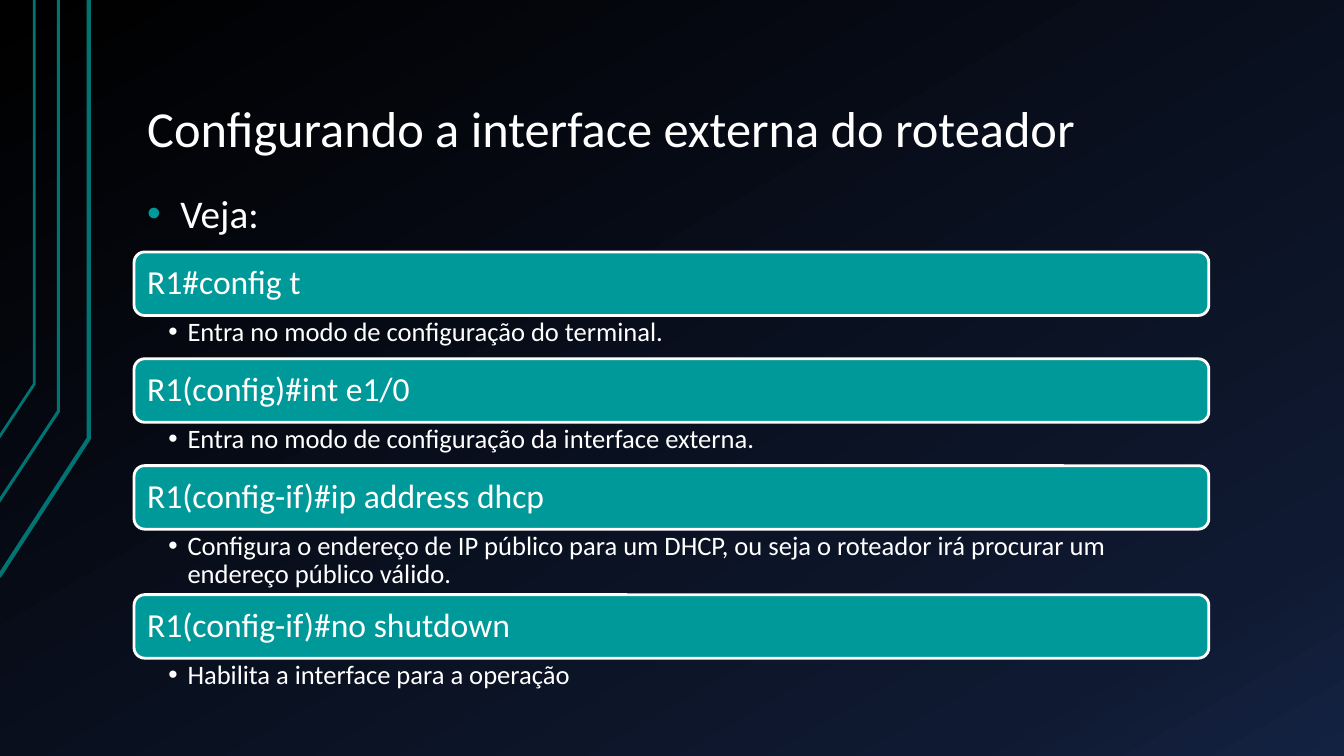
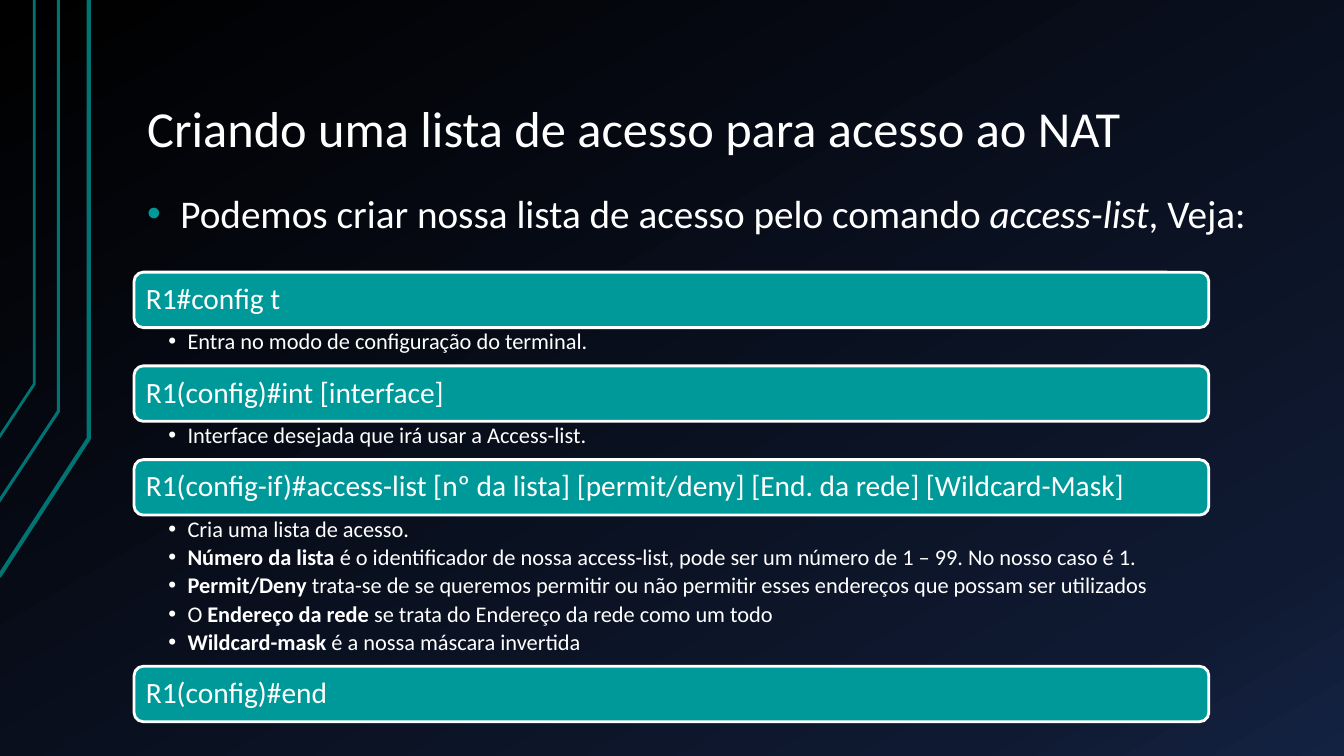
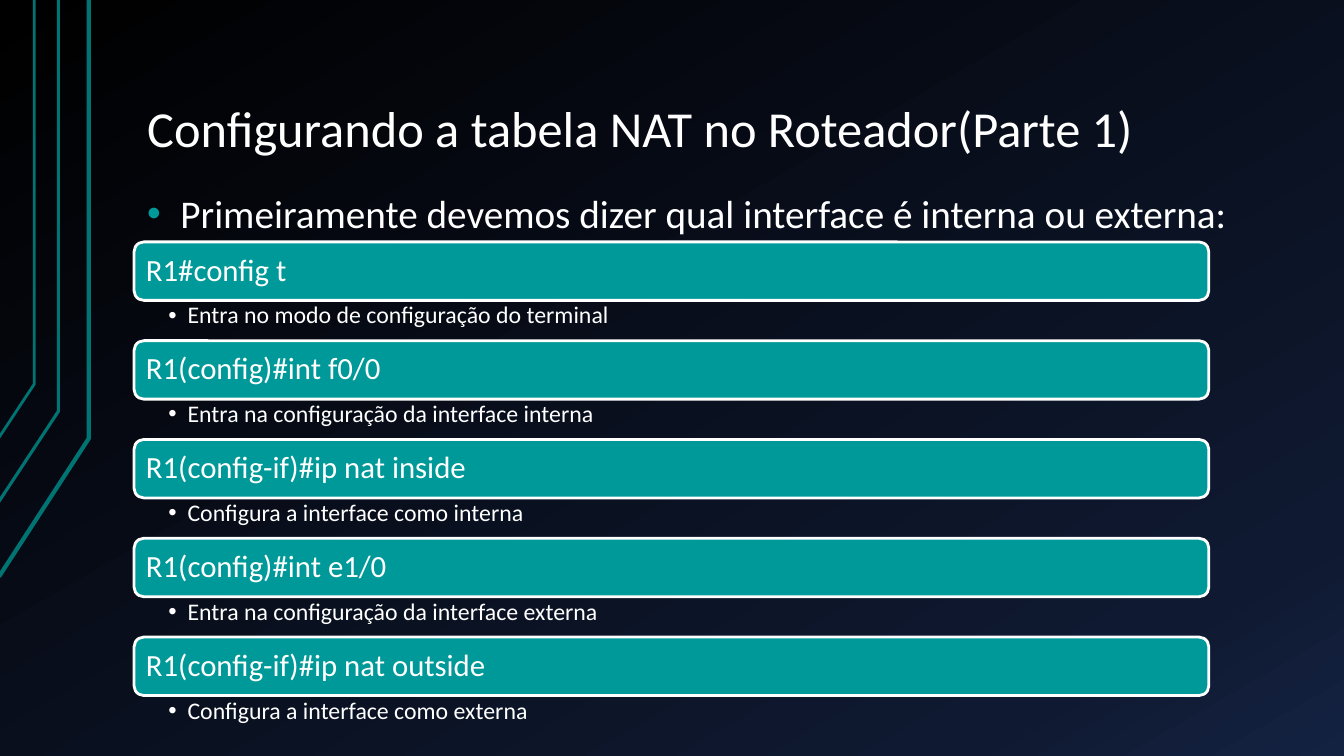
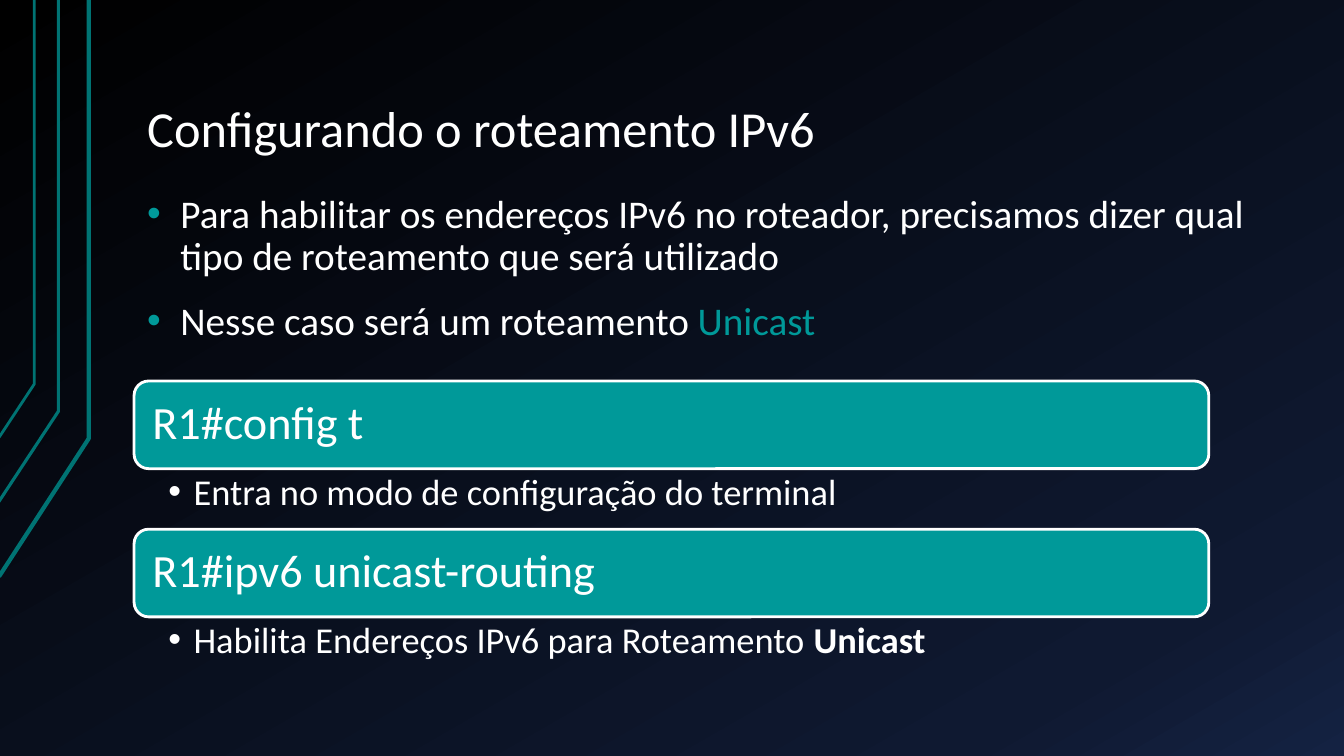
from copy import deepcopy
from dataclasses import dataclass, field

from lxml import etree
from pptx import Presentation
from pptx.dml.color import RGBColor
from pptx.enum import shapes, text
from pptx.oxml.ns import qn
from pptx.util import Inches, Pt

COLORS = {
    "text": "FFFFFF",
    "accent": "009999",
    "rail": "007373",
    "bg_start": "000000",
    "bg_mid": "0F1931",
    "bg_end": "142242",
}
FONT = "Calibri"
LEFT, TEXT_W, STEP_W = 1.33, 11.33, 10.66
BODY_INSETS = (0.13, 0.07, 0.13, 0.07)


@dataclass(frozen=True)
class Run:
    text: str
    bold: bool = False
    italic: bool = False
    color: str = "text"


Line = list[Run]


@dataclass(frozen=True)
class Rail:
    points: list[tuple[float, float]]
    width: float


@dataclass(frozen=True)
class StepStyle:
    top: float
    head_size: int
    head_h: float
    head_inset: float
    note_size: int
    note_h: float
    note_indent: float = 0.19
    note_insets: tuple[float, ...] = (0.34, 0.03, 0.19, 0.03)


@dataclass(frozen=True)
class Step:
    command: str
    notes: list[Line] = field(default_factory=list)
    note_h: float | None = None  # overrides the style's height


@dataclass(frozen=True)
class Page:
    title: str
    intro: list[Line]
    style: StepStyle
    steps: list[Step]


def line(content: str) -> Line:
    return [Run(content)]


RAILS = [
    Rail([(-0.01, 5.72), (0.88, 4.35), (0.88, 0)], 3),
    Rail([(-0.02, 4.99), (0.58, 4.08), (0.58, 0)], 2.25),
    Rail([(-0.01, 4.34), (0.34, 3.81), (0.34, 0)], 2),
]

PAGES = [
    Page(
        "Configurando a interface externa do roteador",
        [line("Veja:")],
        StepStyle(2.5, 24, 0.63, 0.1, 19, 0.43),
        [
            Step("R1#config t", [line("Entra no modo de configuração do terminal.")]),
            Step("R1(config)#int e1/0",
                 [line("Entra no modo de configuração da interface externa.")]),
            Step("R1(config-if)#ip address dhcp",
                 [line("Configura o endereço de IP público para um DHCP, ou seja o "
                       "roteador irá procurar um endereço público válido.")], 0.65),
            Step("R1(config-if)#no shutdown",
                 [line("Habilita a interface para a operação")]),
        ],
    ),
    Page(
        "Criando uma lista de acesso para acesso ao NAT",
        [[Run("Podemos criar nossa lista de acesso pelo comando "),
          Run("access-list", italic=True), Run(", Veja:")]],
        StepStyle(2.7, 21, 0.55, 0.09, 16, 0.38),
        [
            Step("R1#config t", [line("Entra no modo de configuração do terminal.")]),
            Step("R1(config)#int [interface]",
                 [line("Interface desejada que irá usar a Access-list.")]),
            Step("R1(config-if)#access-list [nº da lista] [permit/deny] "
                 "[End. da rede] [Wildcard-Mask]",
                 [
                     line("Cria uma lista de acesso."),
                     [Run("Número da lista ", bold=True),
                      Run("é o identificador de nossa access-list, pode ser um "
                          "número de 1 – 99. No nosso caso é 1.")],
                     [Run("Permit/Deny ", bold=True),
                      Run("trata-se de se queremos permitir ou não permitir esses "
                          "endereços que possam ser utilizados")],
                     [Run("O "), Run("Endereço da rede", bold=True),
                      Run(" se trata do Endereço da rede como um todo")],
                     [Run("Wildcard-mask ", bold=True),
                      Run("é a nossa máscara invertida")],
                 ], 1.5),
            Step("R1(config)#end"),
        ],
    ),
    Page(
        "Configurando a tabela NAT no Roteador(Parte 1)",
        [line("Primeiramente devemos dizer qual interface é interna ou externa:")],
        StepStyle(2.4, 22, 0.58, 0.09, 17, 0.4),
        [
            Step("R1#config t", [line("Entra no modo de configuração do terminal")]),
            Step("R1(config)#int f0/0",
                 [line("Entra na configuração da interface interna")]),
            Step("R1(config-if)#ip nat inside",
                 [line("Configura a interface como interna")]),
            Step("R1(config)#int e1/0",
                 [line("Entra na configuração da interface externa")]),
            Step("R1(config-if)#ip nat outside",
                 [line("Configura a interface como externa")]),
        ],
    ),
    Page(
        "Configurando o roteamento IPv6",
        [
            line("Para habilitar os endereços IPv6 no roteador, precisamos dizer "
                 "qual tipo de roteamento que será utilizado"),
            [Run("Nesse caso será um roteamento "), Run("Unicast", color="accent")],
        ],
        StepStyle(3.78, 33, 0.87, 0.14, 26, 0.6, 0.25, (0.34, 0.05, 0.26, 0.05)),
        [
            Step("R1#config t", [line("Entra no modo de configuração do terminal")]),
            Step("R1#ipv6 unicast-routing",
                 [[Run("Habilita Endereços IPv6 para Roteamento "),
                   Run("Unicast", bold=True)]]),
        ],
    ),
]


def rgb(name: str) -> RGBColor:
    return RGBColor.from_string(COLORS[name])


def set_all(obj, values: dict) -> None:
    for name, value in values.items():
        setattr(obj, name, value)


# Text
def set_frame(tf, insets: tuple[float, ...], anchor) -> None:
    sides = ("margin_left", "margin_top", "margin_right", "margin_bottom")
    set_all(tf, dict(zip(sides, map(Inches, insets))))
    set_all(tf, {"word_wrap": True, "vertical_anchor": anchor,
                 "auto_size": text.MSO_AUTO_SIZE.NONE})


def add_bullet(p, indent: float, color: str) -> None:
    pPr = p._p.get_or_add_pPr()
    pPr.set("marL", str(Inches(indent)))
    pPr.set("indent", str(-Inches(indent)))
    buClr = etree.SubElement(pPr, qn("a:buClr"))
    etree.SubElement(buClr, qn("a:srgbClr")).set("val", COLORS[color])
    etree.SubElement(pPr, qn("a:buFont")).set("typeface", "Arial")
    etree.SubElement(pPr, qn("a:buChar")).set("char", "•")


def write(tf, lines: list[Line], size: int, indent: float = 0,
          bullet: str = "text", before: float = 0, after: float = 0) -> None:
    for i, runs in enumerate(lines):
        p = tf.add_paragraph() if i else tf.paragraphs[0]
        set_all(p, {"alignment": text.PP_ALIGN.LEFT, "line_spacing": 0.9,
                    "space_before": Pt(before), "space_after": Pt(after)})
        if indent:
            add_bullet(p, indent, bullet)
        for run in runs:
            r = p.add_run()
            r.text = run.text
            set_all(r.font, {"name": FONT, "size": Pt(size),
                             "bold": run.bold, "italic": run.italic})
            r.font.color.rgb = rgb(run.color)


def add_text(slide, top: float, width: float, height: float,
             insets: tuple[float, ...]):
    sp = slide.shapes.add_textbox(Inches(LEFT), Inches(top), Inches(width), Inches(height))
    set_frame(sp.text_frame, insets, text.MSO_ANCHOR.TOP)
    return sp.text_frame


# Shared background and rails
def set_background(master) -> None:
    fill = master.background.fill
    fill.gradient()
    fill.gradient_angle = 300  # counter-clockwise
    gs_list = fill.gradient_stops[0]._gs.getparent()
    gs_list.append(deepcopy(gs_list[-1]))
    stops = ((0, "bg_start"), (0.85, "bg_mid"), (1, "bg_end"))
    for stop, (position, color) in zip(fill.gradient_stops, stops):
        stop.position = position
        stop.color.rgb = rgb(color)


def add_rails(slide, layout) -> None:
    """Draw the rails and move them to the layout, so every slide shows them."""
    for rail in RAILS:
        start, *rest = [(Inches(x), Inches(y)) for x, y in rail.points]
        builder = slide.shapes.build_freeform(*start)
        builder.add_line_segments(rest, close=False)
        sp = builder.convert_to_shape()
        sp.shadow.inherit = False
        sp.fill.background()
        sp.line.color.rgb = rgb("rail")
        sp.line.width = Pt(rail.width)
        layout.shapes.element.append(sp.element)


# Slide parts
def set_title(slide, title: str) -> None:
    sp = slide.shapes.title
    set_all(sp, {"left": Inches(LEFT), "top": Inches(0.3),
                 "width": Inches(TEXT_W), "height": Inches(1.34)})
    set_frame(sp.text_frame, BODY_INSETS, text.MSO_ANCHOR.BOTTOM)
    write(sp.text_frame, [line(title)], 36)


def add_command(slide, command: str, top: float, style: StepStyle) -> None:
    sp = slide.shapes.add_shape(
        shapes.MSO_SHAPE.ROUNDED_RECTANGLE,
        Inches(LEFT), Inches(top), Inches(STEP_W), Inches(style.head_h))
    sp.shadow.inherit = False
    sp.fill.solid()
    sp.fill.fore_color.rgb = rgb("accent")
    sp.line.color.rgb = rgb("text")
    sp.line.width = Pt(2)
    set_frame(sp.text_frame, (style.head_inset,) * 4, text.MSO_ANCHOR.MIDDLE)
    write(sp.text_frame, [line(command)], style.head_size)


def add_steps(slide, steps: list[Step], style: StepStyle) -> None:
    top = style.top
    for step in steps:
        add_command(slide, step.command, top, style)
        top += style.head_h
        if step.notes:
            height = step.note_h or style.note_h
            tf = add_text(slide, top, STEP_W, height, style.note_insets)
            write(tf, step.notes, style.note_size, style.note_indent,
                  after=round(style.note_size * 0.18, 1))
            top += height


def main() -> None:
    prs = Presentation()
    set_all(prs, {"slide_width": Inches(13.33), "slide_height": Inches(7.5)})
    layout = prs.slide_layouts[5]  # title only
    set_background(prs.slide_master)
    for i, page in enumerate(PAGES):
        slide = prs.slides.add_slide(layout)
        if i == 0:
            add_rails(slide, layout)
        set_title(slide, page.title)
        tf = add_text(slide, 1.86, TEXT_W, 4.88, BODY_INSETS)
        write(tf, page.intro, 28, 0.33, "accent", before=16)
        add_steps(slide, page.steps, page.style)
    prs.save("out.pptx")


if __name__ == "__main__":
    main()
